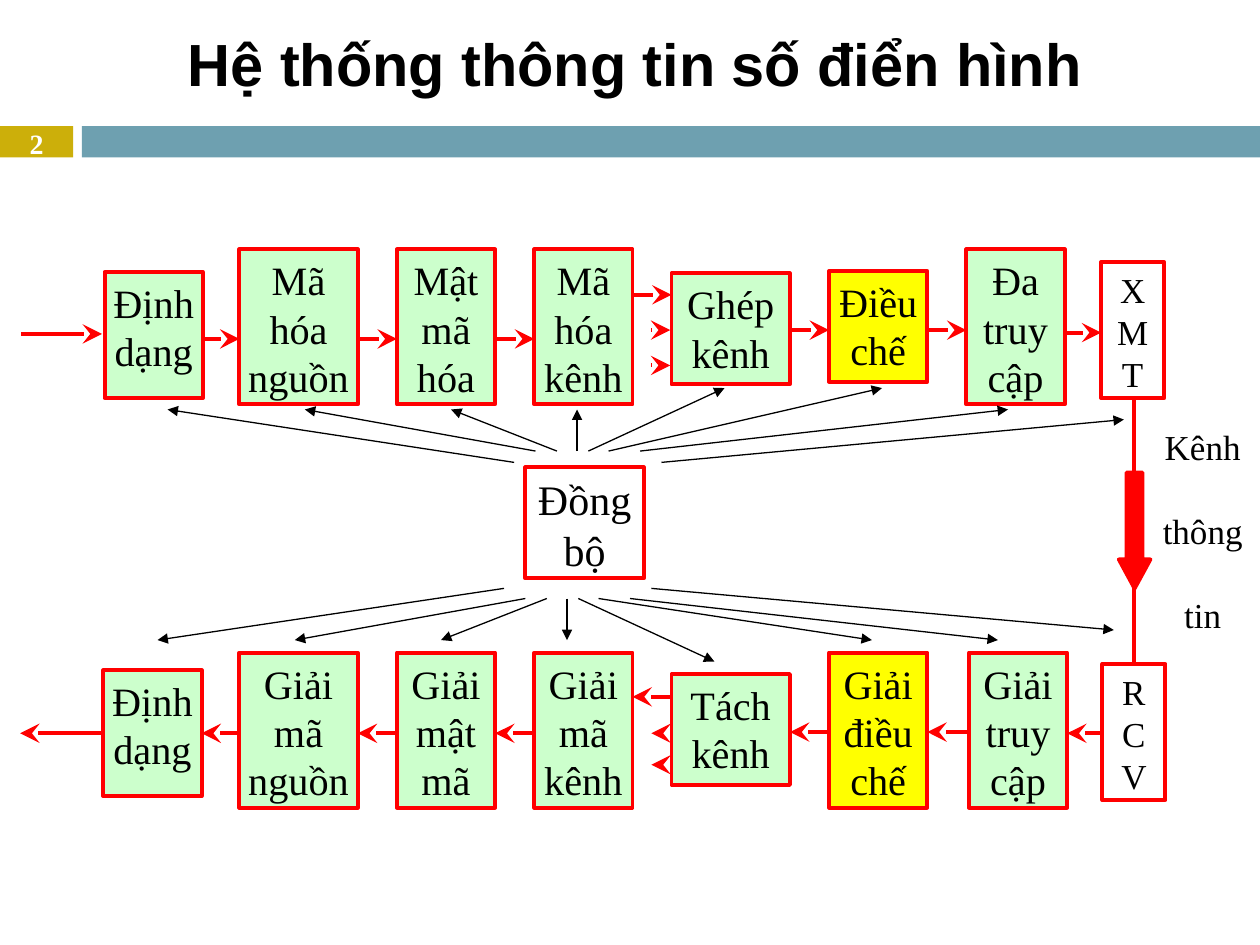
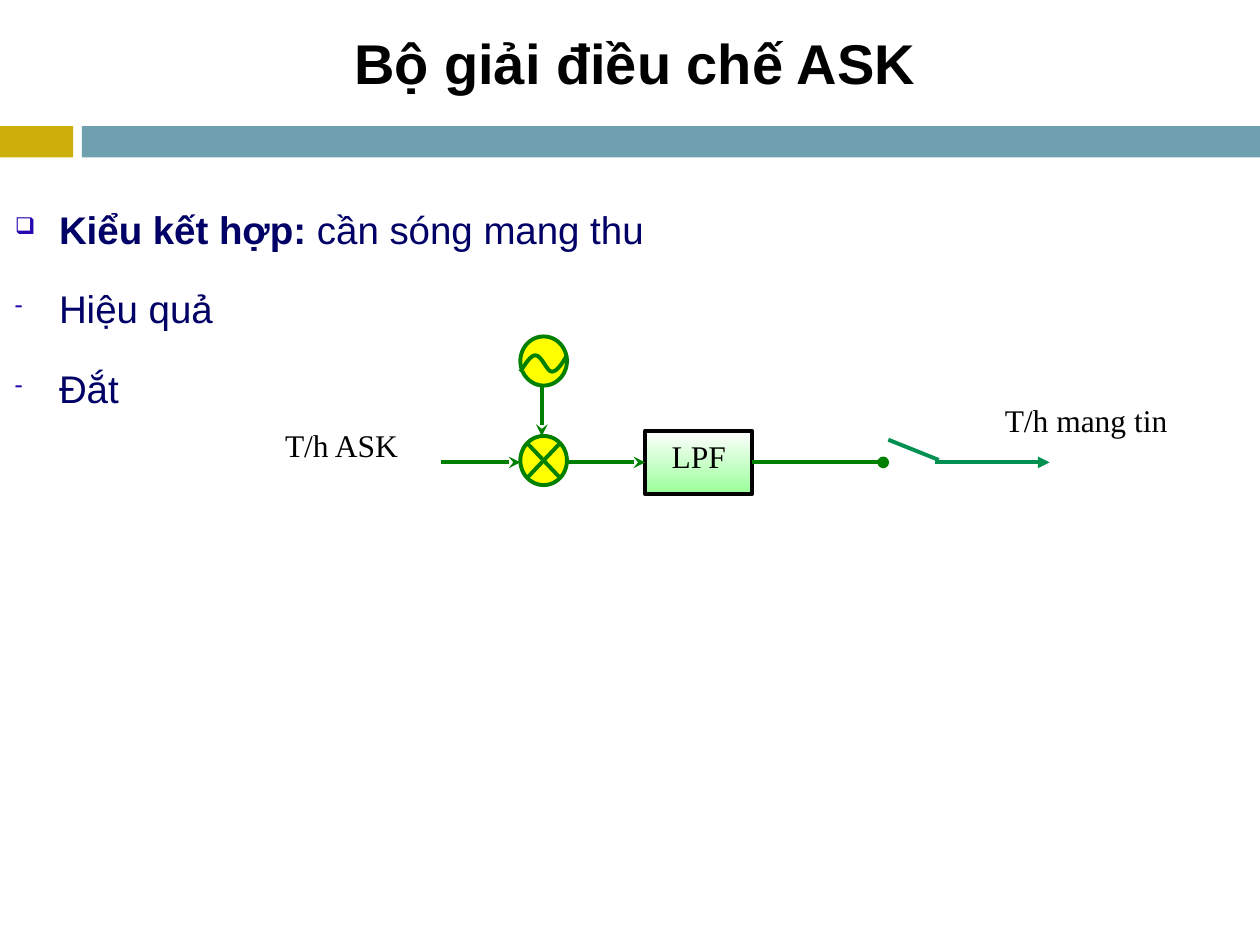
"""Build two slides: a digital communication system and an ASK demodulator."""
from dataclasses import dataclass

from lxml.etree import SubElement
from pptx import Presentation
from pptx.dml.color import RGBColor
from pptx.enum.shapes import MSO_CONNECTOR, MSO_SHAPE
from pptx.enum.text import MSO_ANCHOR, PP_ALIGN
from pptx.oxml.ns import qn
from pptx.util import Inches, Pt


@dataclass(frozen=True)
class Theme:
    sans: str = "Arial"
    serif: str = "Times New Roman"
    black: str = "000000"
    white: str = "FFFFFF"
    gold: str = "CCAF0A"
    teal: str = "6EA0B0"
    red: str = "FF0000"
    mint: str = "CCFFCC"
    yellow: str = "FFFF00"
    green: str = "008000"
    sea: str = "009051"
    leaf: str = "99FF99"
    navy: str = "000066"
    bullet: str = "2909AF"
    system_title: int = 34
    ask_title: int = 32
    sync: int = 24
    block: int = 23
    outline: int = 22
    terminal: int = 20
    signal: int = 18
    number: int = 16
    thick: float = 2.25
    thin: float = 0.75


T = Theme()
BLOCK_INSETS = (0.04, 0.05)
SIGNAL_INSETS = (0, 0.05)
DEFAULT_INSETS = (0.1, 0.05)

BANDS = [((0, 1, 0.58, 0.25), T.gold), ((0.65, 1, 9.35, 0.25), T.teal)]

TRANSMITTER = [
    ("Định dạng", (0.83, 2.16, 0.78, 1), T.mint),
    ("Mã hóa nguồn", (1.9, 1.98, 0.94, 1.23), T.mint),
    ("Mật mã hóa", (3.15, 1.98, 0.78, 1.23), T.mint),
    ("Mã hóa kênh", (4.24, 1.98, 0.78, 1.23), T.mint),
    ("Ghép kênh", (5.33, 2.17, 0.94, 0.88), T.mint),
    ("Điều chế", (6.58, 2.15, 0.78, 0.88), T.yellow),
    ("Đa truy cập", (7.67, 1.98, 0.78, 1.23), T.mint),
    ("X\nM\nT", (8.74, 2.08, 0.5, 1.08), None),
]
TRANSMITTER_LINKS = [2.69, 2.69, 2.69, 2.34, 2.62, 2.62, 2.64]
RECEIVER = [
    ("Định dạng", (0.82, 5.32, 0.78, 1), T.mint),
    ("Giải mã nguồn", (1.9, 5.18, 0.94, 1.23), T.mint),
    ("Giải\vmật mã", (3.15, 5.18, 0.78, 1.23), T.mint),
    ("Giải\vmã kênh", (4.24, 5.18, 0.78, 1.23), T.mint),
    ("Tách kênh", (5.33, 5.35, 0.94, 0.88), T.mint),
    ("Giải điều chế", (6.58, 5.18, 0.78, 1.23), T.yellow),
    ("Giải truy cập", (7.69, 5.18, 0.78, 1.23), T.mint),
    ("R\nC\nV", (8.75, 5.27, 0.5, 1.08), None),
]
RECEIVER_LINKS = [5.82, 5.82, 5.82, 5.53, 5.81, 5.81, 5.82]
OPEN_ENDS = [
    ((0.17, 2.65), (0.81, 2.65)),
    ((5.17, 2.62), (5.32, 2.62)),
    ((5.17, 2.9), (5.32, 2.9)),
    ((0.81, 5.82), (0.16, 5.82)),
    ((5.32, 5.82), (5.17, 5.82)),
    ((5.32, 6.07), (5.17, 6.07)),
]
SYNC_STARTS = [4.08, 4.25, 4.42, 4.58, 4.67, 4.83, 5.08, 5.25]
SYNC_TARGETS = [1.33, 2.42, 3.58, 4.58, 5.75, 7, 8, 8.92]
SYNC_FANS = [
    (0, 3.67, 3.58, [3.25, 3.25, 3.25, 3.25, 3.08, 3.08, 3.25, 3.33]),
    (-0.08, 4.67, 4.75, [5.08, 5.08, 5.08, 5.08, 5.25, 5.08, 5.08, 5]),
]

ASK_POINTS = [
    ("❑", [("Kiểu kết hợp: ", True), ("cần sóng mang thu", False)]),
    ("-", [("Hiệu quả", False)]),
    ("-", [("Đắt", False)]),
]
ASK_LABELS = [("T/h ASK", (2, 3.33, 1.42, 0.76)), ("T/h mang tin", (7.91, 3.13, 1.42, 0.76))]
ASK_WIRES = [
    ((5.97, 3.67), (7.01, 3.67), T.green, "oval"),
    ((4.3, 3.06), (4.3, 3.46), T.green, "stealth"),
    ((3.5, 3.67), (4.13, 3.67), T.green, "stealth"),
    ((4.5, 3.67), (5.12, 3.67), T.green, "stealth"),
    ((7.42, 3.67), (8.33, 3.67), T.sea, "triangle"),
    ((7.05, 3.49), (7.45, 3.65), T.sea, None),
]
CARRIER_WAVE = [
    ((4.13, 2.95), (4.17, 2.89), (4.21, 2.82), (4.25, 2.82)),
    ((4.25, 2.82), (4.3, 2.82), (4.34, 2.95), (4.38, 2.95)),
    ((4.38, 2.95), (4.42, 2.95), (4.46, 2.89), (4.5, 2.82)),
]


def rgb(color):
    return RGBColor.from_string(color)


def style(shape, fill=None, line=None):
    shape.shadow.inherit = False
    if fill:
        shape.fill.solid()
        shape.fill.fore_color.rgb = rgb(fill)
    else:
        shape.fill.background()
    if line:
        shape.line.color.rgb = rgb(line)
        shape.line.width = Pt(T.thick)
    else:
        shape.line.fill.background()
    return shape


def add_box(slide, preset, place, fill=None, line=None):
    return style(slide.shapes.add_shape(preset, *map(Inches, place)), fill, line)


def set_frame(shape, insets, anchor=MSO_ANCHOR.TOP):
    frame = shape.text_frame
    frame.word_wrap = True
    frame.vertical_anchor = anchor
    frame.margin_left = frame.margin_right = Inches(insets[0])
    frame.margin_top = frame.margin_bottom = Inches(insets[1])
    return frame


def set_font(font, size, color, name=T.serif, bold=False):
    font.size, font.name, font.bold = Pt(size), name, bold
    font.color.rgb = rgb(color)


def write(shape, text, size, insets=BLOCK_INSETS, anchor=MSO_ANCHOR.TOP,
          color=T.black, name=T.serif, bold=False, gap=0):
    frame = set_frame(shape, insets, anchor)
    frame.text = text
    for index, paragraph in enumerate(frame.paragraphs):
        paragraph.alignment = PP_ALIGN.CENTER
        paragraph.space_before = Pt(gap if index else 0)
        set_font(paragraph.font, size, color, name, bold)


def add_text(slide, place, text, size, **options):
    write(slide.shapes.add_textbox(*map(Inches, place)), text, size, **options)


def add_line(slide, start, end, color, width=T.thick, head=None, head_size="med"):
    line = slide.shapes.add_connector(MSO_CONNECTOR.STRAIGHT, *map(Inches, start + end))
    line.line.color.rgb = rgb(color)
    line.line.width = Pt(width)
    if head:
        SubElement(line.line._get_or_add_ln(), qn("a:tailEnd"),
                   type=head, w=head_size, len=head_size)
    SubElement(line._element.spPr, qn("a:effectLst"))


def add_flow(slide, start, end):
    add_line(slide, start, end, T.red, head="stealth", head_size="lg")


def add_chain(slide, blocks, links, forward):
    for label, place, fill in blocks:
        block = add_box(slide, MSO_SHAPE.RECTANGLE, place, fill, T.red)
        write(block, label, T.block if fill else T.terminal)
    for (_, left, _), (_, right, _), y in zip(blocks, blocks[1:], links):
        ends = (left[0] + left[2], y), (right[0], y)
        add_flow(slide, *(ends if forward else ends[::-1]))


def add_bullet(paragraph, mark):
    properties = paragraph._p.get_or_add_pPr()
    properties.set("marL", str(Inches(0.35)))
    properties.set("indent", str(-Inches(0.35)))
    SubElement(SubElement(properties, qn("a:buClr")), qn("a:srgbClr"), val=T.bullet)
    SubElement(properties, qn("a:buSzPct"), val="60000")
    SubElement(properties, qn("a:buChar"), char=mark)


def bezier(curve, t):
    weights = ((1 - t) ** 3, 3 * t * (1 - t) ** 2, 3 * t * t * (1 - t), t ** 3)
    return tuple(Inches(sum(w * point[axis] for w, point in zip(weights, curve)))
                 for axis in (0, 1))


def add_slide(deck, title, place, size):
    slide = deck.slides.add_slide(deck.slide_layouts[6])
    for band, color in BANDS:
        add_box(slide, MSO_SHAPE.RECTANGLE, band, color)
    add_text(slide, place, title, size, insets=DEFAULT_INSETS,
             anchor=MSO_ANCHOR.MIDDLE, name=T.sans, bold=True)
    return slide


def build_system(deck):
    slide = add_slide(deck, "Hệ thống thông tin số điển hình",
                      (0.33, 0, 9.42, 1), T.system_title)
    add_text(slide, (9.17, 3.33, 0.75, 1.83), "Kênh\nthông\ntin", T.terminal, gap=24)
    add_line(slide, (9, 3.17), (9, 5.27), T.red)
    channel = add_box(slide, MSO_SHAPE.DOWN_ARROW, (8.88, 3.75, 0.25, 0.92), T.red, T.red)
    channel.adjustments[0], channel.adjustments[1] = 0.5, 0.92
    add_chain(slide, TRANSMITTER, TRANSMITTER_LINKS, True)
    add_chain(slide, RECEIVER, RECEIVER_LINKS, False)
    for start, end in OPEN_ENDS:
        add_flow(slide, start, end)
    sync = add_box(slide, MSO_SHAPE.RECTANGLE, (4.17, 3.71, 0.94, 0.88), None, T.red)
    write(sync, "Đồng bộ", T.sync)
    for shift, outer, inner, heights in SYNC_FANS:
        origins = [outer] + [inner] * (len(heights) - 2) + [outer]
        for x, origin, target, height in zip(SYNC_STARTS, origins, SYNC_TARGETS, heights):
            add_line(slide, (x + shift, origin), (target + shift, height),
                     T.black, T.thin, "triangle")
    add_text(slide, (0, 1, 0.58, 0.27), "2", T.number, insets=DEFAULT_INSETS,
             anchor=MSO_ANCHOR.MIDDLE, color=T.white, bold=True)


def build_demodulator(deck):
    slide = add_slide(deck, "Bộ giải điều chế ASK", (0.25, 0.08, 9.58, 0.82), T.ask_title)
    outline = slide.shapes.add_textbox(*map(Inches, (0.02, 1.4, 9.25, 1.73)))
    frame = set_frame(outline, DEFAULT_INSETS)
    for index, (mark, pieces) in enumerate(ASK_POINTS):
        paragraph = frame.add_paragraph() if index else frame.paragraphs[0]
        paragraph.line_spacing, paragraph.space_before = 1.5, Pt(6)
        add_bullet(paragraph, mark)
        for text, bold in pieces:
            run = paragraph.add_run()
            run.text = text
            set_font(run.font, T.outline, T.navy, T.sans, bold)
    for label, place in ASK_LABELS:
        add_text(slide, place, label, T.signal, insets=SIGNAL_INSETS)
    low_pass = add_box(slide, MSO_SHAPE.RECTANGLE, (5.12, 3.42, 0.85, 0.5), None, T.black)
    low_pass.fill.gradient()
    low_pass.fill.gradient_angle = 270
    for stop, color in zip(low_pass.fill.gradient_stops, (T.white, T.leaf)):
        stop.color.rgb = rgb(color)
    write(low_pass, "LPF", T.signal, SIGNAL_INSETS)
    for preset, top in ((MSO_SHAPE.FLOWCHART_SUMMING_JUNCTION, 3.46), (MSO_SHAPE.OVAL, 2.67)):
        add_box(slide, preset, (4.13, top, 0.37, 0.39), T.yellow, T.green)
    points = [bezier(curve, step / 8) for curve in CARRIER_WAVE for step in range(1, 9)]
    wave = slide.shapes.build_freeform(*bezier(CARRIER_WAVE[0], 0))
    wave.add_line_segments(points, close=False)
    style(wave.convert_to_shape(), T.yellow, T.green)
    for start, end, color, head in ASK_WIRES:
        add_line(slide, start, end, color, head=head)


def main():
    deck = Presentation()
    deck.slide_width, deck.slide_height = Inches(10), Inches(7.5)
    build_system(deck)
    build_demodulator(deck)
    deck.save("out.pptx")


main()
